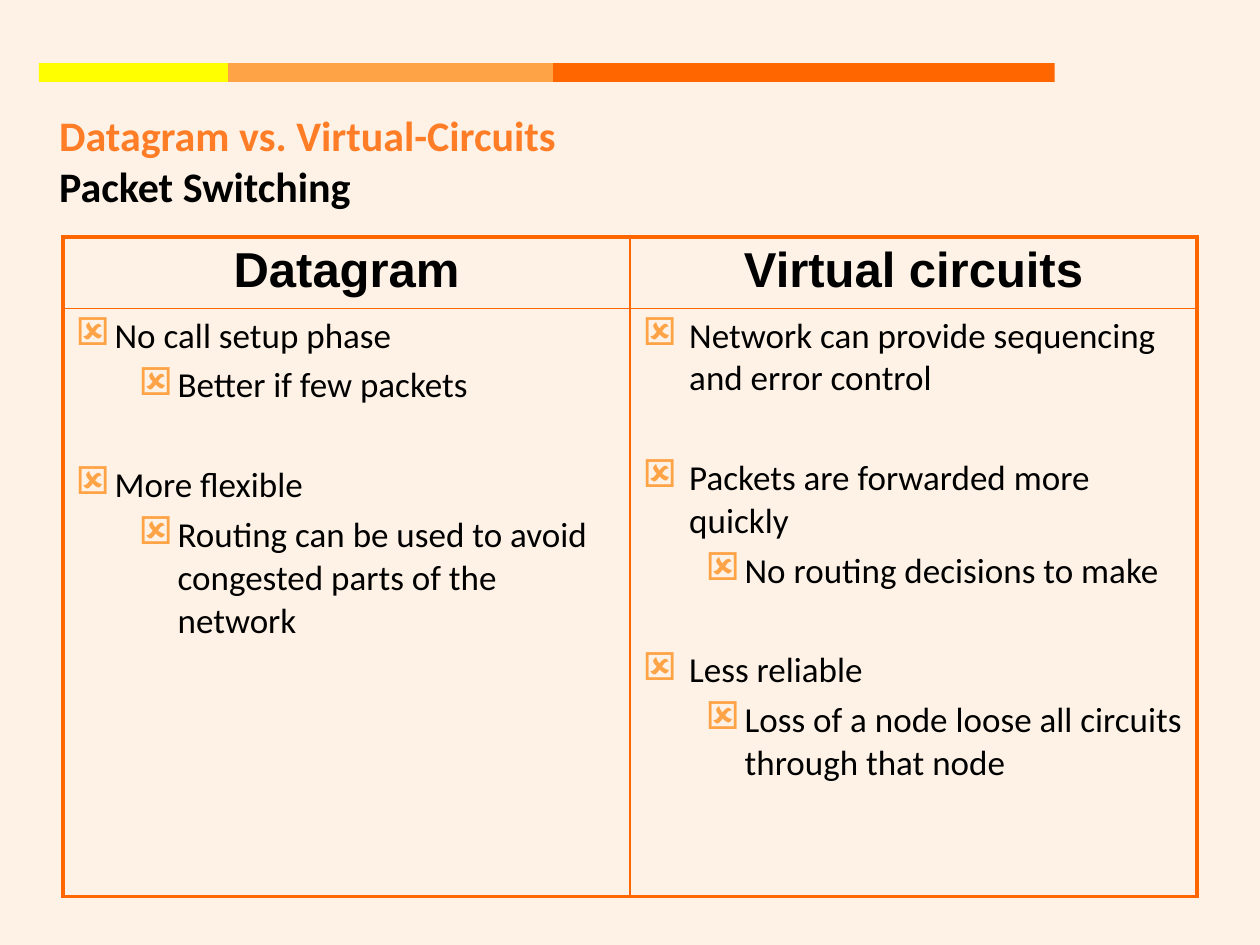
from dataclasses import dataclass

from lxml import etree
from pptx import Presentation
from pptx import util as u
from pptx.dml.color import RGBColor
from pptx.enum import shapes, text
from pptx.oxml import ns


@dataclass(frozen=True)
class Theme:
    background: str = "FEF2E6"
    yellow: str = "FFFF00"
    light_orange: str = "FFA347"
    orange: str = "FF6600"
    title_orange: str = "FF7D26"
    black: str = "000000"
    title_size: int = 24
    header_size: int = 28
    body_size: int = 20
    outer_line: float = 2.25
    inner_line: float = 1


theme = Theme()


def set_font(font, name, size, color, bold):
    values = {"name": name, "size": u.Pt(size), "bold": bold}
    for attribute, value in values.items():
        setattr(font, attribute, value)
    font.color.rgb = RGBColor.from_string(color)


def add_element(parent, tag, position=None, **attributes):
    """Add a DrawingML child, at the end unless a position is given."""
    element = etree.Element(ns.qn(f"a:{tag}"), attributes)
    parent.insert(len(parent) if position is None else position, element)
    return element


presentation = Presentation()
presentation.slide_width = u.Inches(10)
presentation.slide_height = u.Inches(7.5)
slide = presentation.slides.add_slide(presentation.slide_layouts[6])
slide.background.fill.solid()
slide.background.fill.fore_color.rgb = RGBColor.from_string(theme.background)

# Colour strip
left = 0.31
for width, color in [(1.5, theme.yellow), (2.58, theme.light_orange), (3.98, theme.orange)]:
    shape = slide.shapes.add_shape(
        shapes.MSO_SHAPE.RECTANGLE, u.Inches(left), u.Inches(0.5), u.Inches(width), u.Inches(0.15))
    shape.shadow.inherit = False
    shape.fill.solid()
    shape.fill.fore_color.rgb = RGBColor.from_string(color)
    shape.line.fill.background()
    left += width

# Title
title = slide.shapes.add_textbox(u.Inches(0.37), u.Inches(0.8), u.Inches(7.72), u.Inches(0.99))
title.text_frame.word_wrap = True
title.text_frame.margin_top = u.Inches(0.07)
paragraph = title.text_frame.paragraphs[0]
for line, color in [("Datagram vs. Virtual-Circuits", theme.title_orange),
                    ("Packet Switching", theme.black)]:
    if paragraph.runs:
        paragraph.add_line_break()
    run = paragraph.add_run()
    run.text = line
    set_font(run.font, "Calibri", theme.title_size, color, True)

# Each column: heading, first-level indent, points as (level, text)
columns = [
    ("Datagram", 0.31, [
        (0, "No call setup phase"),
        (1, "Better if few packets"),
        (0, "More flexible"),
        (1, "Routing can be used to avoid congested parts of the network"),
    ]),
    ("Virtual circuits", 0.37, [
        (0, "Network can provide sequencing and error control"),
        (0, "Packets are forwarded more quickly"),
        (1, "No routing decisions to make"),
        (0, "Less reliable"),
        (1, "Loss of a node loose all circuits through that node"),
    ]),
]

row_heights = [0.56, 4.67]
table = slide.shapes.add_table(
    2, 2, u.Inches(0.5), u.Inches(1.88), u.Inches(9), u.Inches(sum(row_heights))).table
table.first_row = table.horz_banding = False
for row, height in zip(table.rows, row_heights):
    row.height = u.Inches(height)

for column_index, (heading, first_indent, points) in enumerate(columns):
    table.columns[column_index].width = u.Inches(4.5)

    paragraph = table.cell(0, column_index).text_frame.paragraphs[0]
    paragraph.text = heading
    paragraph.alignment = text.PP_ALIGN.CENTER
    set_font(paragraph.font, "Arial", theme.header_size, theme.black, True)

    frame = table.cell(1, column_index).text_frame
    for index, (level, point) in enumerate(points):
        paragraph = frame.add_paragraph() if index else frame.paragraphs[0]
        paragraph.text = point
        paragraph.level = level
        hanging = 0.31 if level else first_indent
        properties = paragraph._p.get_or_add_pPr()
        properties.set("marL", str(u.Inches(0.81 if level else first_indent)))
        properties.set("indent", str(-u.Inches(hanging)))
        bullet_color = add_element(properties, "buClr")
        add_element(bullet_color, "srgbClr", val=theme.light_orange)
        add_element(properties, "buSzPct", val="110000")
        add_element(properties, "buChar", char="☒")
        if index:
            paragraph.space_before = u.Pt(4 if level else 32.4)
        set_font(paragraph.font, "Calibri", theme.body_size, theme.black, False)

    # Heavy lines around the table, thin lines inside it
    for row_index in range(2):
        cell = table.cell(row_index, column_index)
        cell.fill.background()
        outer_sides = {"lnL": column_index == 0, "lnR": column_index == 1,
                       "lnT": row_index == 0, "lnB": row_index == 1}
        for position, (side, is_outer) in enumerate(outer_sides.items()):
            width = u.Pt(theme.outer_line if is_outer else theme.inner_line)
            border = add_element(cell._tc.get_or_add_tcPr(), side, position, w=str(width))
            add_element(add_element(border, "solidFill"), "srgbClr", val=theme.orange)

presentation.save("out.pptx")
